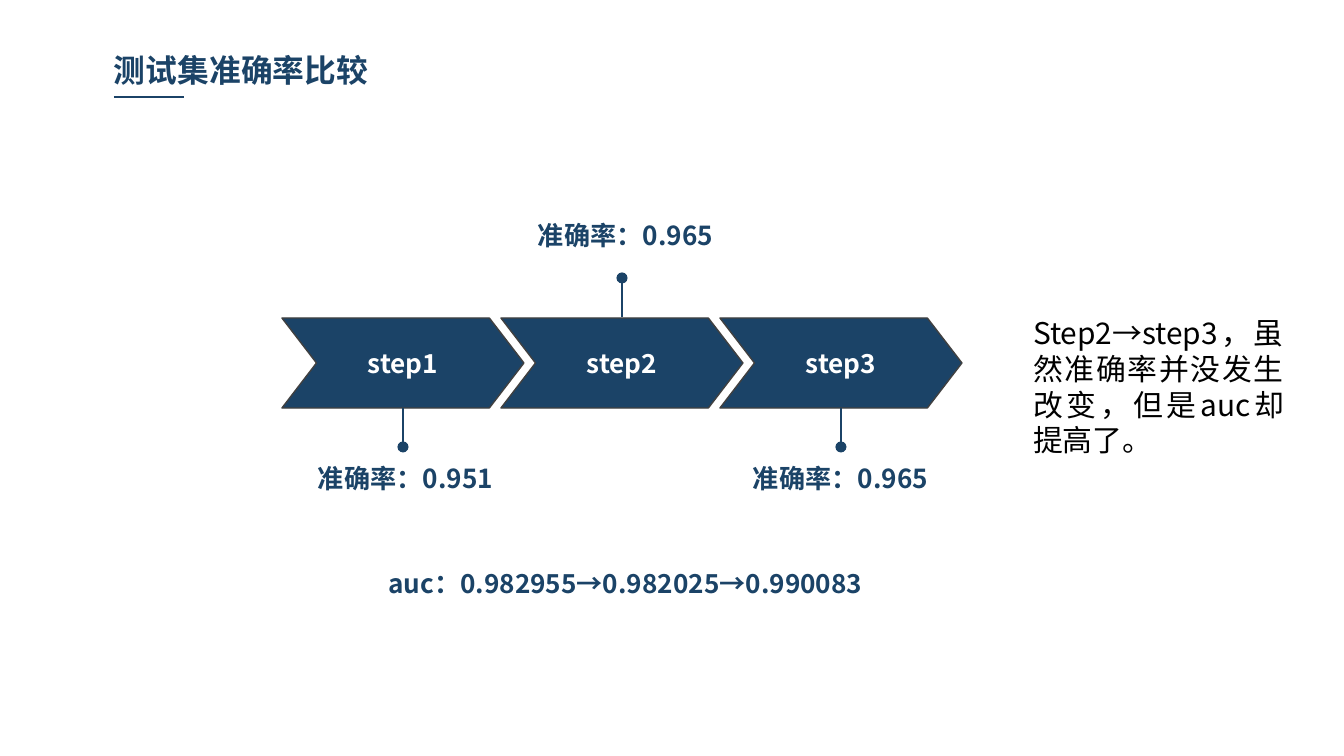
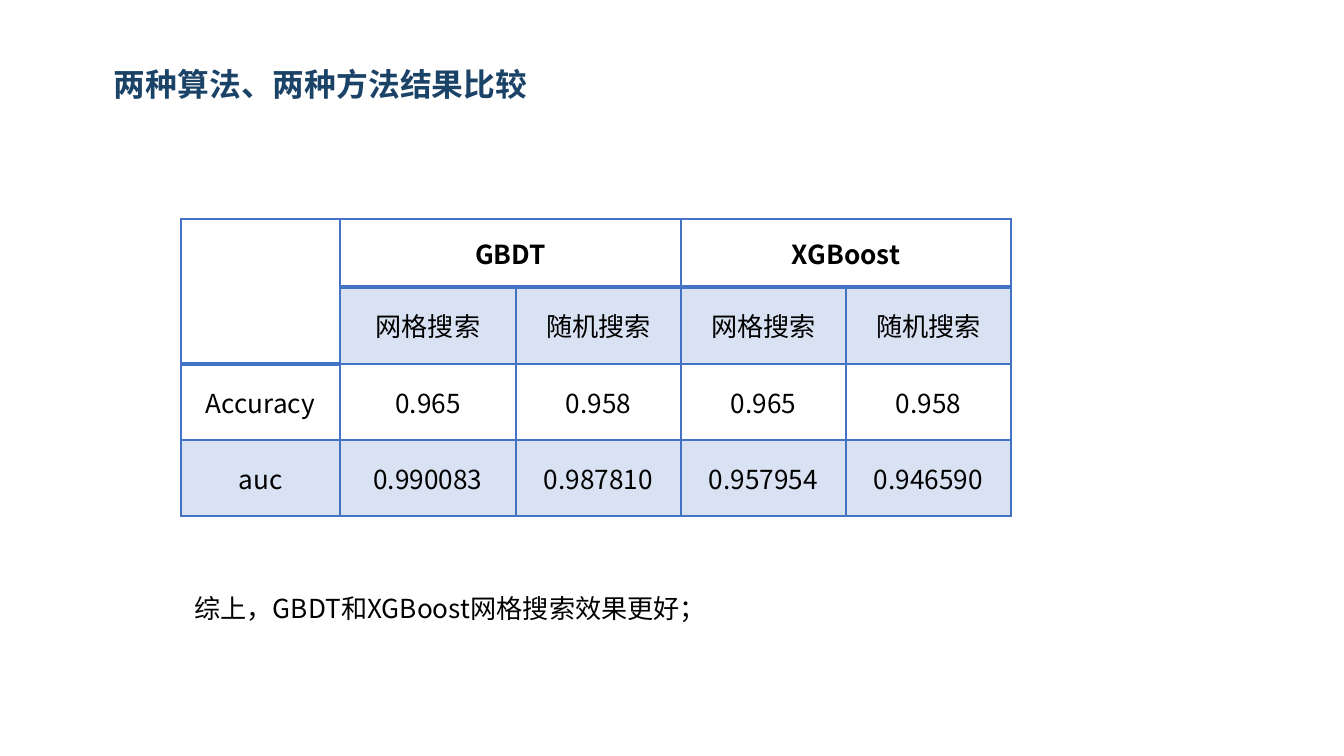
import pptx
import pptx.util
import pptx.dml.color
import pptx.enum.shapes
import pptx.enum.text
import pptx.oxml
import pptx.oxml.ns

SCALE = 9144000 / 1344
RGB = pptx.dml.color.RGBColor
NAVY = RGB(0x1B, 0x43, 0x67)
EDGE = RGB(0x40, 0x40, 0x40)
BLUE = RGB(0x44, 0x72, 0xC4)
WHITE = RGB(0xFF, 0xFF, 0xFF)
BLACK = RGB(0, 0, 0)
FONT = "Noto Sans CJK SC"
ALIGN = pptx.enum.text.PP_ALIGN
ANCHOR = pptx.enum.text.MSO_ANCHOR
SHAPE = pptx.enum.shapes.MSO_SHAPE
QN = pptx.oxml.ns.qn


def px(*vals):
    return [round(v * SCALE) for v in vals]


def add_xml(parent, tag, **attrs):
    node = pptx.oxml.parse_xml(f"<{tag} {pptx.oxml.ns.nsdecls('a')}/>")
    for name, val in attrs.items():
        node.set(name, str(val))
    parent.append(node)
    return node


def write(frame, text, size, color, bold=False, align=ALIGN.LEFT):
    frame.text = text
    para = frame.paragraphs[0]
    para.alignment = align
    font = para.font
    font.size = pptx.util.Pt(size)
    font.bold = bold
    font.color.rgb = color
    font.name = FONT
    add_xml(para._p.pPr.find(QN("a:defRPr")), "a:ea", typeface=FONT)


def inset(frame):
    frame.margin_left = frame.margin_right = px(9)[0]
    frame.margin_top = frame.margin_bottom = px(5)[0]


def add_title(slide, text, top, width):
    title = slide.shapes.title
    title.left, title.top, title.width, title.height = px(105, top, width, 48)
    frame = title.text_frame
    frame.vertical_anchor = ANCHOR.TOP
    frame.auto_size = pptx.enum.text.MSO_AUTO_SIZE.NONE
    inset(frame)
    write(frame, text, 17, NAVY, True)


def add_text(slide, box, text, size=14, align=ALIGN.LEFT):
    frame = slide.shapes.add_textbox(*px(*box)).text_frame
    frame.word_wrap = True
    write(frame, text, size, BLACK, align=align)


def add_label(slide, box, text):
    frame = slide.shapes.add_textbox(*px(*box)).text_frame
    frame.word_wrap = False
    frame.auto_size = pptx.enum.text.MSO_AUTO_SIZE.SHAPE_TO_FIT_TEXT
    inset(frame)
    write(frame, text, 14, NAVY, True, ALIGN.CENTER)


def add_line(slide, ends, dot=False):
    line = slide.shapes.add_connector(
        pptx.enum.shapes.MSO_CONNECTOR.STRAIGHT, *px(*ends))
    line.line.color.rgb = NAVY
    line.line.width = pptx.util.Pt(0.75)
    if dot:
        add_xml(line.line._get_or_add_ln(), "a:tailEnd", type="oval")
    add_xml(line._element.spPr, "a:effectLst")


def add_step(slide, box, name):
    step = slide.shapes.add_shape(SHAPE.CHEVRON, *px(*box))
    step.adjustments[0] = 0.384
    step.shadow.inherit = False
    step.fill.solid()
    step.fill.fore_color.rgb = NAVY
    step.line.color.rgb = EDGE
    step.line.width = pptx.util.Pt(0.75)
    step.text_frame.vertical_anchor = ANCHOR.MIDDLE
    inset(step.text_frame)
    write(step.text_frame, name, 14, WHITE, True, ALIGN.CENTER)


def add_flow(slide, box, steps):
    """Row of chevrons, each with a pin and label below or above it."""
    left, top, width, height = box
    pitch, pin = 219, 39
    for i, (name, rate, above, shift) in enumerate(steps):
        x = left + i * pitch
        mid = x + width // 2
        add_step(slide, (x, top, width, height), name)
        start = top - 1 if above else top + height
        end = start - pin if above else start + pin
        add_line(slide, (mid, start, mid, end), dot=True)
        label = end - 64 if above else end + 10
        add_label(slide, (mid - 100 + shift, label, 199, 42), f"准确率：{rate}")


def add_border(cell, side, width):
    props = cell._tc.get_or_add_tcPr()
    line = add_xml(props, f"a:ln{side}", w=pptx.util.Pt(width))
    add_xml(add_xml(line, "a:solidFill"), "a:srgbClr", val=BLUE)


def style_cell(cell, shade, head):
    for side in "LRTB":
        add_border(cell, side, 2 if head and side == "B" else 1)
    cell.vertical_anchor = ANCHOR.MIDDLE
    if shade:
        cell.fill.solid()
        cell.fill.fore_color.rgb = BLUE
        color = cell._tc.tcPr.find(QN("a:solidFill"))[0]
        add_xml(color, "a:alpha", val=20000)
    else:
        cell.fill.background()


def add_grid(slide, spot, cols, rows, data):
    box = px(*spot, sum(cols), sum(rows))
    grid = slide.shapes.add_table(len(rows), len(cols), *box).table
    grid.first_row = grid.horz_banding = False
    for col, width in zip(grid.columns, cols):
        col.width = px(width)[0]
    for row, height in zip(grid.rows, rows):
        row.height = px(height)[0]
    for r, line in enumerate(data):
        for c, text in enumerate(line):
            cell = grid.cell(r, c)
            corner = c == 0 and r < 2
            style_cell(cell, r % 2 == 1 and not corner, r == 0 or corner)
            if text:
                write(cell.text_frame, text, 14, BLACK, r == 0, ALIGN.CENTER)
    grid.cell(0, 0).merge(grid.cell(1, 0))
    for c in (1, 3):
        grid.cell(0, c).merge(grid.cell(0, c + 1))


def build_steps(slide):
    add_title(slide, "测试集准确率比较", 46, 332)
    add_line(slide, (114, 97, 184, 97))
    add_flow(slide, (282, 318, 242, 90), [
        ("step1", "0.951", False, 3),
        ("step2", "0.965", True, 4),
        ("step3", "0.965", False, 0),
    ])
    add_label(slide, (371, 562, 509, 42), "auc：0.982955→0.982025→0.990083")
    add_text(slide, (1020, 308, 277, 159),
             "Step2→step3，虽然准确率并没发生改变，但是auc却提高了。",
             16, ALIGN.JUSTIFY)


def build_results(slide):
    add_title(slide, "两种算法、两种方法结果比较", 60, 667)
    add_grid(slide, (181, 219), [159, 176] + [165] * 3, [68, 77, 76, 76], [
        ["", "GBDT", "", "XGBoost", ""],
        [""] + ["网格搜索", "随机搜索"] * 2,
        ["Accuracy"] + ["0.965", "0.958"] * 2,
        ["auc", "0.990083", "0.987810", "0.957954", "0.946590"],
    ])
    add_text(slide, (181, 586, 796, 46), "综上，GBDT和XGBoost网格搜索效果更好；")


def main():
    deck = pptx.Presentation()
    deck.slide_width, deck.slide_height = px(1344, 756)
    for build in (build_steps, build_results):
        build(deck.slides.add_slide(deck.slide_layouts[5]))
    deck.save("out.pptx")


if __name__ == "__main__":
    main()
